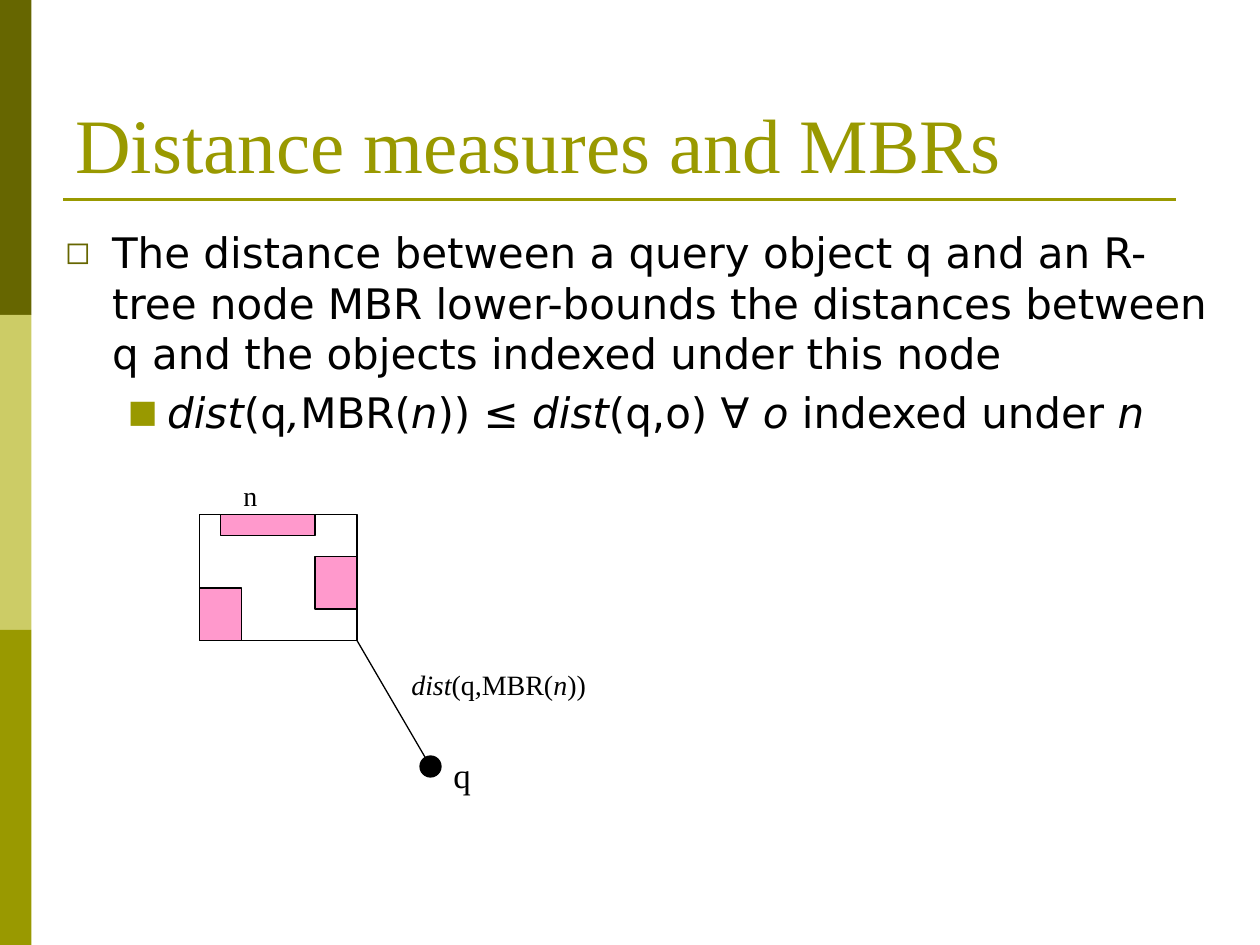
"""Build the slide on distance measures and MBRs."""
from lxml import etree
from pptx import Presentation
from pptx.dml.color import RGBColor
from pptx.enum import shapes, text
from pptx.oxml import ns
from pptx.util import Pt

DARK = RGBColor(0x66, 0x66, 0x00)
PALE = RGBColor(0xCC, 0xCC, 0x66)
OLIVE = RGBColor(0x99, 0x99, 0x00)
PINK = RGBColor(0xFF, 0x99, 0xCC)
BLACK = RGBColor(0, 0, 0)
SERIF, SANS = "Times New Roman", "DejaVu Sans"
RECT, OVAL = shapes.MSO_SHAPE.RECTANGLE, shapes.MSO_SHAPE.OVAL

deck = Presentation()
deck.slide_width, deck.slide_height = Pt(720), Pt(540)
slide = deck.slides.add_slide(deck.slide_layouts[6])


def write(words, box, size, face=SERIF, color=BLACK, wrap=False, low=False, marks=()):
    """Add a text box; asterisks in the words switch italics on and off."""
    frame = slide.shapes.add_textbox(*map(Pt, box)).text_frame
    frame.word_wrap = wrap
    if low:
        frame.vertical_anchor = text.MSO_ANCHOR.BOTTOM
    for i, line in enumerate(words):
        para = frame.paragraphs[0] if i == 0 else frame.add_paragraph()
        if i:
            para.space_before = Pt(5)
        if marks:
            sign, tint, left, hang = marks[i]
            para.level = i
            props = para._p.get_or_add_pPr()
            props.set("marL", str(Pt(left)))
            props.set("indent", str(-Pt(hang)))
            hue = etree.SubElement(props, ns.qn("a:buClr"))
            etree.SubElement(hue, ns.qn("a:srgbClr"), val=str(tint))
            etree.SubElement(props, ns.qn("a:buSzPct"), val="75000")
            etree.SubElement(props, ns.qn("a:buFont"), typeface=SANS)
            etree.SubElement(props, ns.qn("a:buChar"), char=sign)
        for j, part in enumerate(line.split("*")):
            if part:
                run = para.add_run()
                run.text = part
                font = run.font
                font.name, font.size, font.italic = face, Pt(size), j % 2 == 1
                font.color.rgb = color


for i, color in enumerate((DARK, PALE, OLIVE)):
    band = slide.shapes.add_shape(RECT, 0, Pt(180 * i), Pt(18), Pt(180))
    band.shadow.inherit = False
    band.fill.solid()
    band.fill.fore_color.rgb = color
    band.line.fill.background()

write(["Distance measures and MBRs"], (36, 21.6, 648, 90), 44,
      color=OLIVE, wrap=True, low=True)
write(["The distance between a query object q and an R-tree node MBR lower-bounds "
       "the distances between q and the objects indexed under this node",
       "*dist*(q*,*MBR(*n*)) ≤ *dist*(q,o) ∀ *o *indexed under *n*"],
      (30, 126, 678, 378), 24, face=SANS, wrap=True,
      marks=[("◻", DARK, 27, 27), ("■", OLIVE, 58.5, 22.5)])

for kind, box, color in (
    (RECT, (114, 294, 90, 72), None),
    (RECT, (114, 336, 24, 30), PINK),
    (RECT, (180, 318, 24, 30), PINK),
    (RECT, (126, 294, 54, 12), PINK),
    (OVAL, (240, 432, 12, 12), BLACK),
):
    item = slide.shapes.add_shape(kind, *map(Pt, box))
    item.shadow.inherit = False
    if color is None:
        item.fill.background()
    else:
        item.fill.solid()
        item.fill.fore_color.rgb = color
    item.line.color.rgb = BLACK
    item.line.width = Pt(0.75)

for ends, color, width in (
    ((36, 114, 672, 114), OLIVE, 1.5),
    ((204, 366, 246, 438), BLACK, 0.75),
):
    rule = slide.shapes.add_connector(shapes.MSO_CONNECTOR.STRAIGHT, *map(Pt, ends))
    rule.line.color.rgb = color
    rule.line.width = Pt(width)
    etree.SubElement(rule._element.spPr, ns.qn("a:effectLst"))

write(["n"], (132, 270, 22.4, 26.6), 16)
write(["q"], (252, 427, 24.4, 31), 20)
write(["*dist*(q*,*MBR(*n*))"], (228, 378, 114.4, 26.6), 16)

deck.save("out.pptx")
